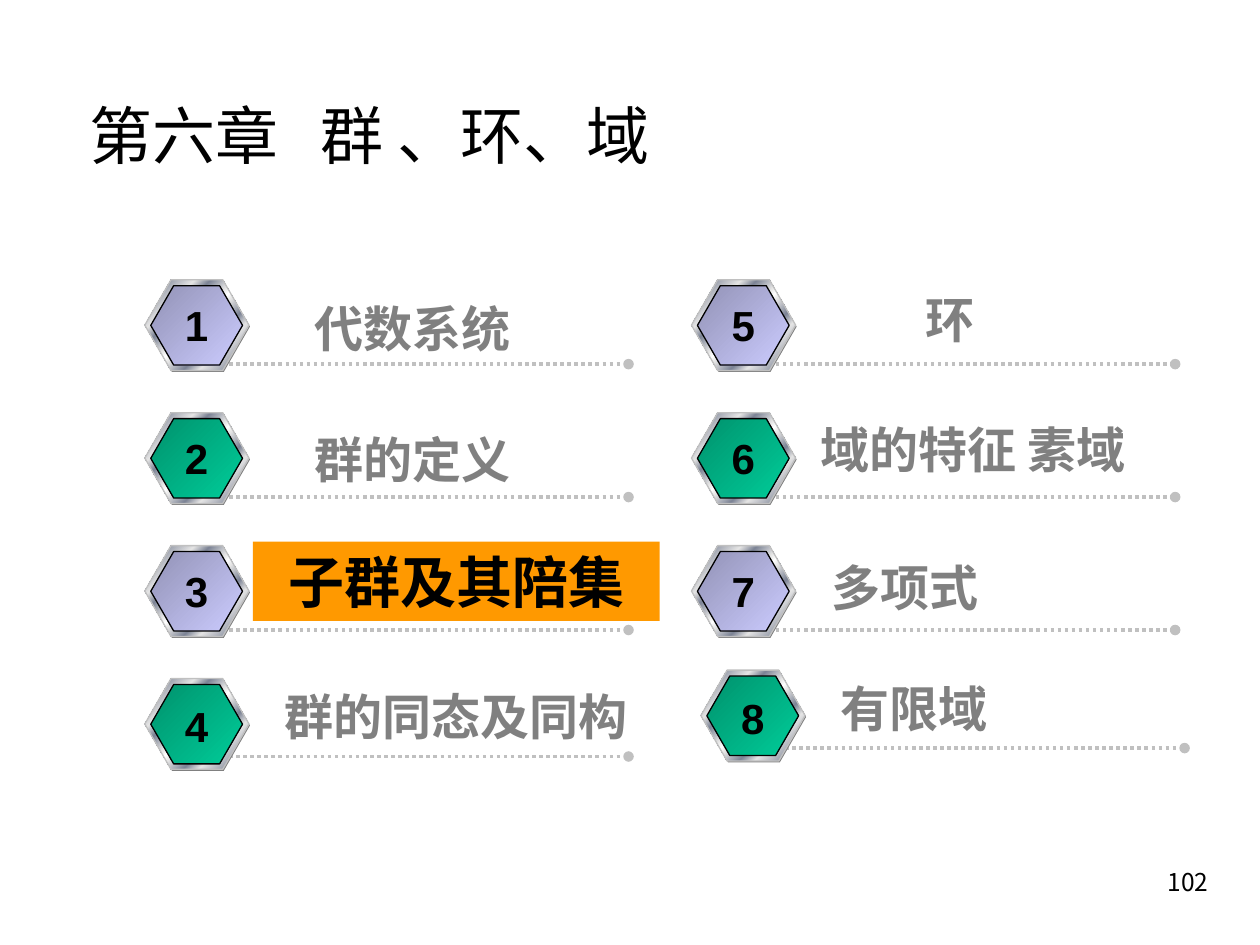
from dataclasses import dataclass

from lxml.etree import SubElement
from pptx import Presentation
from pptx.dml.color import RGBColor
from pptx.enum.dml import MSO_LINE_DASH_STYLE as Dash
from pptx.enum.shapes import MSO_CONNECTOR as Connector, MSO_SHAPE as Preset
from pptx.enum.text import MSO_ANCHOR as Anchor, MSO_AUTO_SIZE as AutoSize, PP_ALIGN as Align
from pptx.oxml.ns import qn
from pptx.util import Cm, Pt


@dataclass(frozen=True)
class Theme:
    """Colours, fonts and type sizes of the slide."""
    ink: str = "000000"
    muted: str = "808080"
    rule: str = "C0C0C0"
    accent: str = "FF9900"
    violet: tuple = ((0, "9292B6"), (100, "CCCCFF"))
    green: tuple = ((0, "00926D"), (100, "00CC99"))
    metal: tuple = ((0, "E6E6E6"), (8, "7D8496"), (26, "E6E6E6"), (34, "7D8496"),
                    (46, "E6E6E6"), (50, "FFFFFF"), (54, "E6E6E6"), (66, "7D8496"),
                    (74, "E6E6E6"), (92, "7D8496"), (100, "E6E6E6"))
    cjk: str = "Noto Sans CJK SC"
    digits: str = "Arial"
    serif: str = "Times New Roman"
    page_font: str = "Noto Sans CJK KR"
    title_size: int = 36
    highlight_size: int = 32
    label_size: int = 28
    number_size: int = 24
    page_size: int = 14


@dataclass(frozen=True)
class Topic:
    """One chapter section and its label box in cm from the badge corner."""
    name: str
    left: float
    top: float
    width: float
    align: Align = Align.LEFT
    highlighted: bool = False


THEME = Theme()
COLUMNS, FIRST_ROW, ROW_PITCH, ROWS = (2.92, 13.94), 5.64, 2.68, 4
LAST_NUDGE = (0.19, -0.17)
TOPICS = (
    Topic("代数系统", 3.18, 0.25, 4.65),
    Topic("群的定义", 3.18, 0.21, 5.41),
    Topic("子群及其陪集", 2.18, -0.08, 8.2, Align.CENTER, True),
    Topic("群的同态及同构", 2.57, 0.04, 7.59),
    Topic("环", 2.57, 0.08, 5.28, Align.CENTER),
    Topic("域的特征 素域", 2.36, 0.01, 7.39),
    Topic("多项式", 2.57, 0.12, 7.39),
    Topic("有限域", 2.57, 0.05, 7.59),
)


def apply_format(target, **values):
    """Set every given attribute on the target."""
    for name, value in values.items():
        setattr(target, name, value)


def add_run(paragraph, text, size, font, color, bold=False):
    """Append a formatted run whose East Asian font is always set."""
    run = paragraph.add_run()
    run.text = text
    apply_format(run.font, size=Pt(size), name=font, bold=bold)
    run.font.color.rgb = RGBColor.from_string(color)
    east_asian = THEME.cjk if font in (THEME.digits, THEME.serif) else font
    SubElement(run.font._element, qn("a:ea"), typeface=east_asian)
    return run


def add_text(slide, box, text, size, font, color, align=Align.LEFT, bold=True, wrap=True):
    """Add a one-paragraph text box and return it."""
    shape = slide.shapes.add_textbox(*map(Cm, box))
    apply_format(shape.text_frame, word_wrap=wrap, auto_size=AutoSize.NONE)
    paragraph = shape.text_frame.paragraphs[0]
    paragraph.alignment = align
    add_run(paragraph, text, size, font, color, bold)
    return shape


def fill_gradient(shape, stops):
    """Fill the shape with a diagonal gradient of the given stops."""
    shape.fill.gradient()
    gradient = shape._element.spPr.find(qn("a:gradFill"))
    for child in list(gradient):
        gradient.remove(child)
    stop_list = SubElement(gradient, qn("a:gsLst"))
    for position, color in stops:
        stop = SubElement(stop_list, qn("a:gs"), pos=str(position * 1000))
        SubElement(stop, qn("a:srgbClr"), val=color)
    SubElement(gradient, qn("a:lin"), ang="2700000", scaled="1")


def add_hexagon(group, box, fill, outline=None):
    """Add one hexagon layer of a badge, solid or gradient filled."""
    shape = group.shapes.add_shape(Preset.HEXAGON, *map(Cm, box))
    shape.shadow.inherit = False
    shape.adjustments[0], shape.adjustments[1] = 0.289, 1.155
    if isinstance(fill, str):
        shape.fill.solid()
        shape.fill.fore_color.rgb = RGBColor.from_string(fill)
    else:
        fill_gradient(shape, fill)
    if outline:
        shape.line.width = Pt(0.75)
        shape.line.color.rgb = RGBColor.from_string(outline)
    else:
        shape.line.fill.background()


def add_badge(slide, left, top, face):
    """Stack shadow, metal rim and coloured face into one group."""
    group = slide.shapes.add_group_shape()
    add_hexagon(group, (left + 0.02, top + 0.03, 2.1, 1.83), THEME.muted)
    add_hexagon(group, (left, top, 2.1, 1.83), THEME.metal, THEME.rule)
    add_hexagon(group, (left + 0.12, top + 0.12, 1.85, 1.6), face, THEME.ink)


def add_rule(slide, left, top, length):
    """Add a dotted line that ends in a round dot."""
    connector = slide.shapes.add_connector(
        Connector.STRAIGHT, Cm(left), Cm(top), Cm(left + length), Cm(top))
    connector.line.color.rgb = RGBColor.from_string(THEME.rule)
    apply_format(connector.line, width=Pt(2), dash_style=Dash.ROUND_DOT)
    SubElement(connector.line._ln, qn("a:tailEnd"), type="oval")
    SubElement(connector._element.spPr, qn("a:effectLst"))


def add_topic(slide, left, top, number, topic):
    """Place rule, badge, number and label of one topic from its corner."""
    last_row = number % ROWS == 0
    add_rule(slide, left + 1.7, top + (1.57 if last_row else 1.7), 8.05)
    add_badge(slide, left, top, THEME.violet if number % 2 else THEME.green)
    number_top = top + (0.32 if last_row else 0.28)
    add_text(slide, (left + 0.55, number_top, 0.99, 1.27), str(number),
             THEME.number_size, THEME.digits, THEME.ink, Align.CENTER, wrap=False)
    style = (THEME.label_size, THEME.cjk, THEME.muted)
    if topic.highlighted:
        style = (THEME.highlight_size, THEME.serif, THEME.ink)
    box = (left + topic.left, top + topic.top, topic.width, 1.6 if topic.highlighted else 1.45)
    label = add_text(slide, box, topic.name, *style, topic.align)
    if topic.highlighted:
        label.fill.solid()
        label.fill.fore_color.rgb = RGBColor.from_string(THEME.accent)


def add_title(slide, left, top, width, height):
    """Move and format the title placeholder."""
    title = slide.shapes.title
    apply_format(title, left=Cm(left), top=Cm(top), width=Cm(width), height=Cm(height))
    apply_format(title.text_frame, vertical_anchor=Anchor.MIDDLE, word_wrap=True,
                 auto_size=AutoSize.NONE)
    paragraph = title.text_frame.paragraphs[0]
    paragraph.alignment = Align.LEFT
    style = (THEME.title_size, THEME.cjk, THEME.ink)
    add_run(paragraph, "第六章", *style)
    gap = add_run(paragraph, " ", *style)
    gap.font._element.set("spc", "1600")
    add_run(paragraph, "群 、环、域", *style)


def main():
    """Build the chapter overview and save it."""
    presentation = Presentation()
    apply_format(presentation, slide_width=Cm(25.4), slide_height=Cm(19.05))
    slide = presentation.slides.add_slide(presentation.slide_layouts[5])
    add_title(slide, 1.55, 1.47, 22.28, 2.46)
    for index, topic in enumerate(TOPICS):
        column, row = divmod(index, ROWS)
        shift_x, shift_y = LAST_NUDGE if index == len(TOPICS) - 1 else (0, 0)
        add_topic(slide, COLUMNS[column] + shift_x, FIRST_ROW + row * ROW_PITCH + shift_y,
                  index + 1, topic)
    add_text(slide, (19.33, 17.35, 5.28, 1.27), "102", THEME.page_size, THEME.page_font,
             THEME.ink, Align.RIGHT, bold=False)
    presentation.save("out.pptx")


if __name__ == "__main__":
    main()
